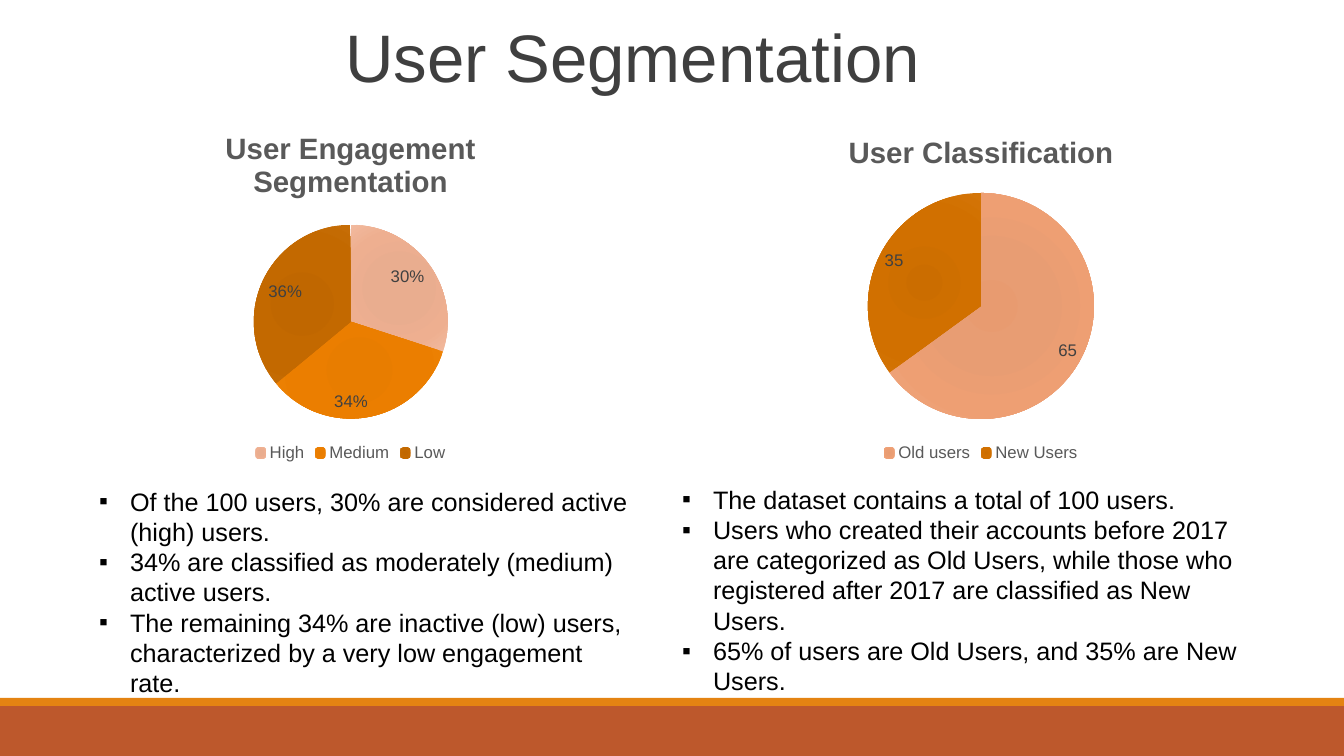
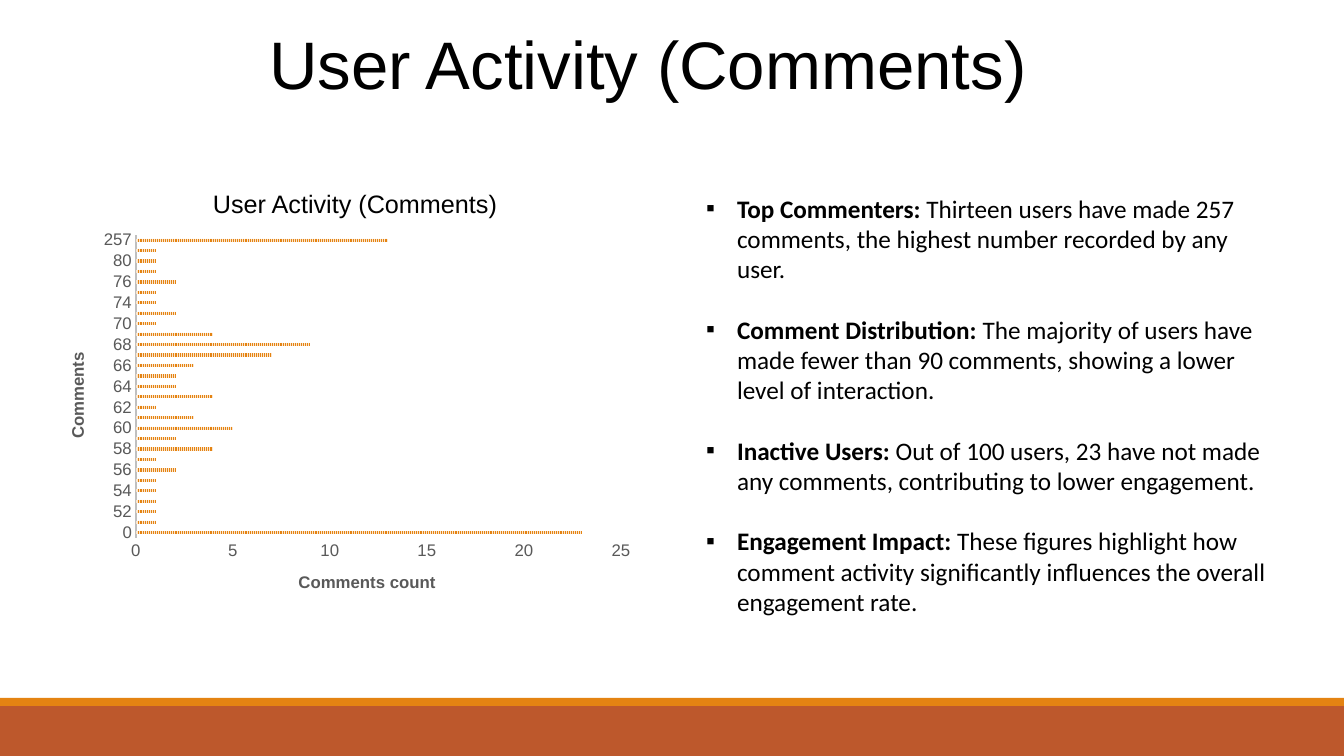
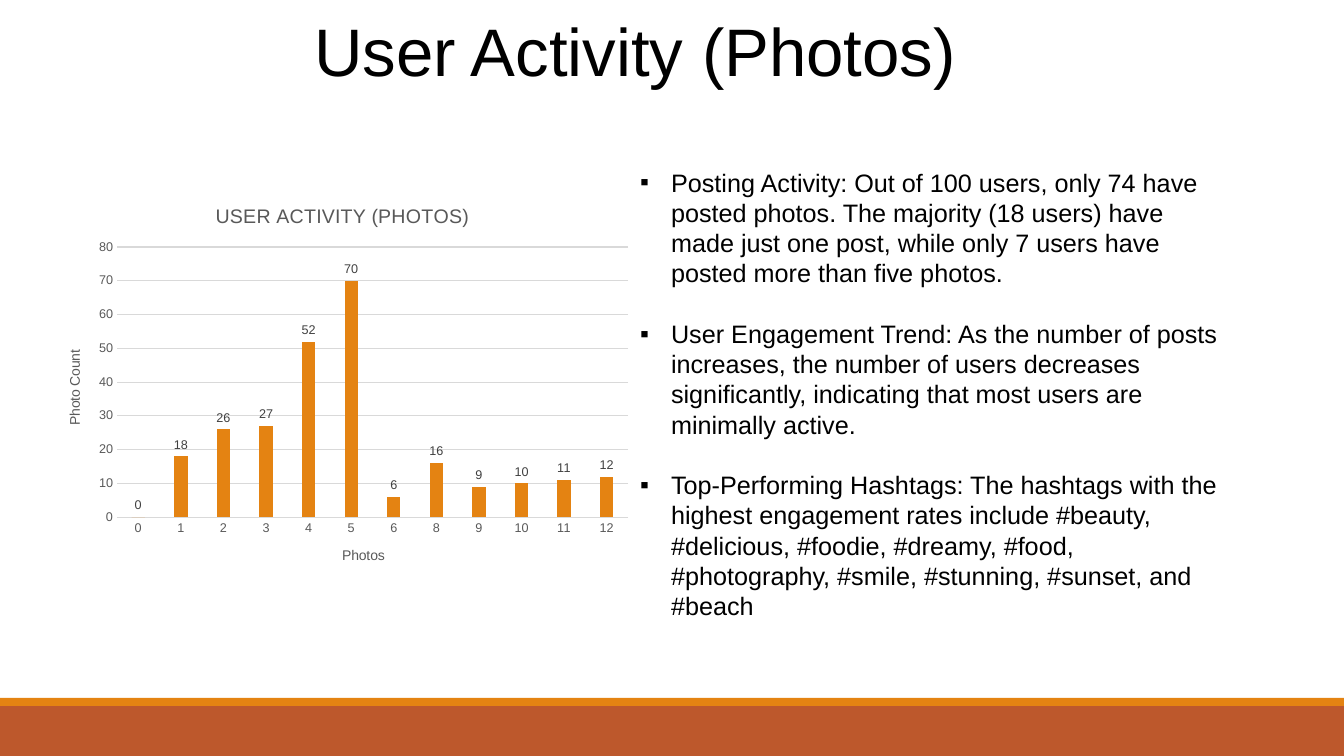
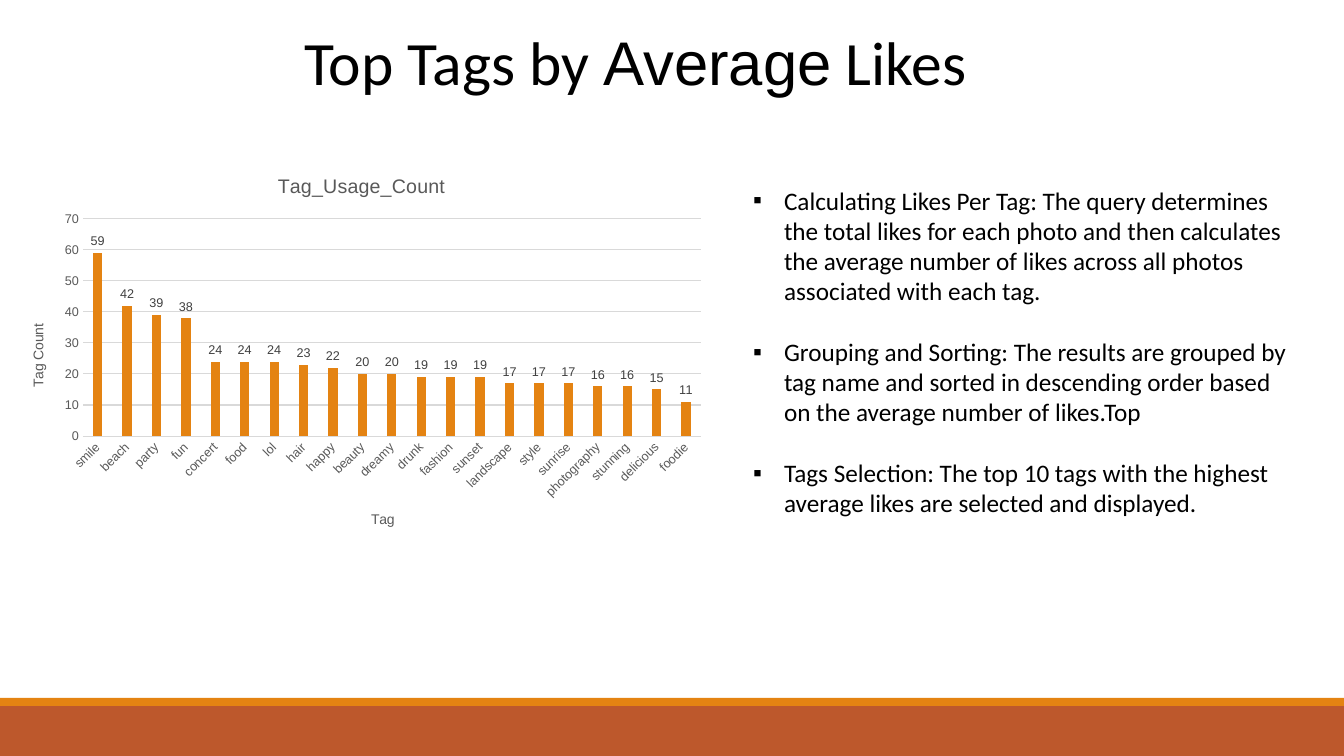
from pptx import Presentation
from pptx.chart.data import CategoryChartData
from pptx.dml.color import RGBColor
from pptx.enum.chart import XL_CHART_TYPE, XL_LABEL_POSITION, XL_LEGEND_POSITION, XL_TICK_MARK
from pptx.enum.dml import MSO_PATTERN_TYPE
from pptx.enum.shapes import MSO_SHAPE
from pptx.enum.text import MSO_ANCHOR, MSO_AUTO_SIZE, PP_ALIGN
from pptx.oxml import parse_xml
from pptx.oxml.ns import nsdecls, qn
from pptx.util import Emu, Pt

PIE, BAR, COLUMN = XL_CHART_TYPE.PIE, XL_CHART_TYPE.BAR_CLUSTERED, XL_CHART_TYPE.COLUMN_CLUSTERED
INSIDE_END, OUTSIDE_END, BEST_FIT = (
    XL_LABEL_POSITION.INSIDE_END, XL_LABEL_POSITION.OUTSIDE_END, XL_LABEL_POSITION.BEST_FIT)
BOTTOM_LEGEND = XL_LEGEND_POSITION.BOTTOM
NO_TICK = XL_TICK_MARK.NONE
NARROW_STRIPES = MSO_PATTERN_TYPE.NARROW_VERTICAL
RECTANGLE = MSO_SHAPE.RECTANGLE
LEFT, BOTTOM, NO_AUTOFIT = PP_ALIGN.LEFT, MSO_ANCHOR.BOTTOM, MSO_AUTO_SIZE.NONE

BLACK = RGBColor(0x00, 0x00, 0x00)
CHARCOAL = RGBColor(0x3F, 0x3F, 0x3F)
LABEL_GREY = RGBColor(0x40, 0x40, 0x40)
GREY = RGBColor(0x59, 0x59, 0x59)
AXIS_GREY = RGBColor(0xBF, 0xBF, 0xBF)
GRID_GREY = RGBColor(0xD9, 0xD9, 0xD9)
BRICK = RGBColor(0xBD, 0x58, 0x2C)
AMBER = RGBColor(0xE4, 0x83, 0x12)
CREAM = RGBColor(0xFB, 0xE6, 0xCE)

# Slice colours, from the centre of each gradient outwards
GRADIENT_STOPS = (0, 34, 70, 100)
BLUSH = [RGBColor.from_string(c) for c in ("E8AB8C", "E9AD8F", "EEAF90", "F2BA9E")]
ORANGE = [RGBColor.from_string(c) for c in ("E57B00", "E87D00", "EB7E00", "EF8407")]
BROWN = [RGBColor.from_string(c) for c in ("BE6600", "C06700", "C36900", "C66D06")]
SALMON = [RGBColor.from_string(c) for c in ("E89B70", "E89D73", "EE9F73", "F0A982")]
COPPER = [RGBColor.from_string(c) for c in ("CB6D00", "CE6F00", "D17000", "D47507")]

ARIAL, CALIBRI = "Arial", "Calibri"
EMU_PER_PX = 914400 / 100.8
SLIDE_SIZE = (1344, 756)
BANDS = [((0, 706, 1344, 50), BRICK), ((0, 698, 1344, 8), AMBER)]
BODY_SIZE, BODY_LINE, BULLET_INDENT = 18, 21.6, 31

# Boxes and plot areas are (left, top, width, height) in px
SLIDES = [
    {
        "title": {"box": (335, 0, 675, 98), "size": 48, "color": CHARCOAL,
                  "runs": [("User Segmentation", ARIAL)]},
        "charts": [
            {"kind": PIE, "box": (66, 116, 569, 350), "plot": (254, 225, 194, 194),
             "title": "User Engagement\nSegmentation",
             "categories": ["High", "Medium", "Low"], "values": [30, 34, 36],
             "slices": [BLUSH, ORANGE, BROWN], "percent": True, "labels": INSIDE_END},
            {"kind": PIE, "box": (672, 116, 618, 350), "plot": (868, 193, 226, 226),
             "title": "User Classification",
             "categories": ["Old users", "New Users"], "values": [65, 35],
             "slices": [SALMON, COPPER], "percent": False, "labels": BEST_FIT},
        ],
        "bodies": [
            {"box": (89, 481, 557, 224), "font": ARIAL, "gap": 0, "items": [
                "Of the 100 users, 30% are considered active (high) users.",
                "34% are classified as moderately (medium) active users.",
                "The remaining 34% are inactive (low) users, characterized by a very low "
                "engagement rate."]},
            {"box": (672, 479, 576, 224), "font": ARIAL, "gap": 0, "items": [
                "The dataset contains a total of 100 users.",
                "Users who created their accounts before 2017 are categorized as Old Users, "
                "while those who registered after 2017 are classified as New Users.",
                "65% of users are Old Users, and 35% are New Users."]},
        ],
    },
    {
        "title": {"box": (259, 13, 779, 92), "size": 48, "color": BLACK,
                  "runs": [("User Activity (Comments)", ARIAL)]},
        "charts": [
            {"kind": BAR, "box": (60, 183, 588, 433), "plot": (136, 235, 485, 303),
             "category_title": "Comments", "value_title": "Comments count",
             "categories": "0 49 52 53 54 55 56 57 58 59 60 61 62 63 64 65 66 67 68 69 "
                           "70 72 74 75 76 77 80 83 257".split(),
             "values": [23, 1, 1, 1, 1, 1, 2, 1, 4, 2, 5, 3, 1, 4, 2, 2, 3, 7, 9, 4,
                        1, 2, 1, 1, 2, 1, 1, 1, 13],
             "maximum": 25, "unit": 5},
        ],
        "caption": {"box": (203, 183, 312, 40), "text": "User Activity (Comments)"},
        "bodies": [
            {"box": (696, 188, 588, 439), "font": CALIBRI, "gap": BODY_LINE,
             "bold_lead": True, "items": [
                 "Top Commenters: Thirteen users have made 257 comments, the highest number "
                 "recorded by any user.",
                 "Comment Distribution: The majority of users have made fewer than 90 "
                 "comments, showing a lower level of interaction.",
                 "Inactive Users: Out of 100 users, 23 have not made any comments, "
                 "contributing to lower engagement.",
                 "Engagement Impact: These figures highlight how comment activity "
                 "significantly influences the overall engagement rate."]},
        ],
    },
    {
        "title": {"box": (304, 0, 672, 92), "size": 48, "color": BLACK,
                  "runs": [("User Activity (Photos)", ARIAL)]},
        "charts": [
            {"kind": COLUMN, "box": (45, 186, 595, 399), "plot": (117, 247, 511, 270),
             "title": "USER ACTIVITY (PHOTOS)",
             "category_title": "Photos", "value_title": "Photo Count",
             "categories": "0 1 2 3 4 5 6 8 9 10 11 12".split(),
             "values": [0, 18, 26, 27, 52, 70, 6, 16, 9, 10, 11, 12],
             "maximum": 80, "unit": 10, "labels": OUTSIDE_END},
        ],
        "bodies": [
            {"box": (630, 162, 611, 468), "font": ARIAL, "gap": BODY_LINE, "items": [
                "Posting Activity: Out of 100 users, only 74 have posted photos. The majority "
                "(18 users) have made just one post, while only 7 users have posted more than "
                "five photos.",
                "User Engagement Trend: As the number of posts increases, the number of users "
                "decreases significantly, indicating that most users are minimally active.",
                "Top-Performing Hashtags: The hashtags with the highest engagement rates "
                "include #beauty, #delicious, #foodie, #dreamy, #food, #photography, #smile, "
                "#stunning, #sunset, and #beach"]},
        ],
    },
    {
        "title": {"box": (294, 15, 755, 85), "size": 44, "color": BLACK,
                  "runs": [("Top Tags by ", CALIBRI), ("Average", ARIAL), (" Likes", CALIBRI)]},
        "charts": [
            {"kind": COLUMN, "box": (8, 157, 707, 392), "plot": (83, 219, 618, 217),
             "title": "Tag_Usage_Count",
             "category_title": "Tag", "value_title": "Tag Count",
             "categories": "smile beach party fun concert food lol hair happy beauty dreamy "
                           "drunk fashion sunset landscape style sunrise photography stunning "
                           "delicious foodie".split(),
             "values": [59, 42, 39, 38, 24, 24, 24, 23, 22, 20, 20, 19, 19, 19, 17, 17, 17,
                        16, 16, 15, 11],
             "maximum": 70, "unit": 10, "labels": OUTSIDE_END, "slanted": True},
        ],
        "bodies": [
            {"box": (743, 180, 570, 346), "font": CALIBRI, "gap": BODY_LINE, "items": [
                "Calculating Likes Per Tag: The query determines the total likes for each "
                "photo and then calculates the average number of likes across all photos "
                "associated with each tag.",
                "Grouping and Sorting: The results are grouped by tag name and sorted in "
                "descending order based on the average number of likes.Top",
                "Tags Selection: The top 10 tags with the highest average likes are selected "
                "and displayed."]},
        ],
    },
]


def px(length):
    return Emu(round(length * EMU_PER_PX))


def place(shape, box):
    shape.left, shape.top, shape.width, shape.height = map(px, box)


def style_font(font, size, color, name=ARIAL, bold=False):
    font.size, font.name, font.bold = Pt(size), name, bold
    font.color.rgb = color


def add_run(para, text, *style, **options):
    span = para.add_run()
    span.text = text
    style_font(span.font, *style, **options)


def add_master_bands(deck, slide):
    """Draw the bottom bands, then move them behind everything on the master."""
    tree = deck.slide_master.shapes.element
    for number, (box, color) in enumerate(BANDS):
        band = slide.shapes.add_shape(RECTANGLE, *map(px, box))
        band.shadow.inherit = False
        band.fill.solid()
        band.fill.fore_color.rgb = color
        band.line.fill.background()
        band.element.nvSpPr.cNvPr.set("id", str(101 + number))
        tree.insert(2 + number, band.element)


def fill_title(shape, title):
    place(shape, title["box"])
    frame = shape.text_frame
    frame.word_wrap = True
    frame.auto_size = NO_AUTOFIT
    frame.vertical_anchor = BOTTOM
    frame.margin_bottom = px(2)
    para = frame.paragraphs[0]
    para.alignment = LEFT
    for text, font in title["runs"]:
        add_run(para, text, title["size"], title["color"], font)


def set_bullet(para):
    properties = para._p.get_or_add_pPr()
    properties.set("marL", str(px(BULLET_INDENT)))
    properties.set("indent", str(-px(BULLET_INDENT)))
    for xml in (f'<a:buClr {nsdecls("a")}><a:srgbClr val="{BLACK}"/></a:buClr>',
                f'<a:buFont {nsdecls("a")} typeface="{ARIAL}"/>',
                f'<a:buChar {nsdecls("a")} char="▪"/>'):
        properties.append(parse_xml(xml))


def fill_body(shape, body):
    place(shape, body["box"])
    frame = shape.text_frame
    frame.word_wrap = True
    frame.auto_size = NO_AUTOFIT
    for number, text in enumerate(body["items"]):
        para = frame.add_paragraph() if number else frame.paragraphs[0]
        para.alignment = LEFT
        para.line_spacing = Pt(BODY_LINE)
        para.space_before = Pt(body["gap"] if number else 0)
        para.space_after = Pt(0)
        set_bullet(para)
        if body.get("bold_lead"):
            lead, colon, text = text.partition(":")
            add_run(para, lead + colon, BODY_SIZE, BLACK, body["font"], bold=True)
        add_run(para, text, BODY_SIZE, BLACK, body["font"])


def add_caption(slide, caption):
    box = slide.shapes.add_textbox(*map(px, caption["box"]))
    box.text_frame.word_wrap = True
    para = box.text_frame.paragraphs[0]
    para.line_spacing = Pt(BODY_LINE)
    add_run(para, caption["text"], BODY_SIZE, BLACK)


def write_chart_text(frame, text, size, bold):
    frame.text = text
    for para in frame.paragraphs:
        for span in para.runs:
            style_font(span.font, size, GREY, bold=bold)


def set_plot_area(chart, box, plot):
    """Fix the inner plot rectangle as fractions of the chart frame."""
    left, top, width, height = box
    fractions = {"x": (plot[0] - left) / width, "y": (plot[1] - top) / height,
                 "w": plot[2] / width, "h": plot[3] / height}
    sizes = "".join(f'<c:{key} val="{value:.3f}"/>' for key, value in fractions.items())
    area = chart.element.chart.plotArea
    for layout in area.findall(qn("c:layout")):
        area.remove(layout)
    area.insert(0, parse_xml(
        f'<c:layout {nsdecls("c")}><c:manualLayout><c:layoutTarget val="inner"/>'
        f'<c:xMode val="edge"/><c:yMode val="edge"/>{sizes}</c:manualLayout></c:layout>'))


def fill_slice(point, colors):
    point.format.line.fill.background()
    stops = "".join(f'<a:gs pos="{stop * 1000}"><a:srgbClr val="{color}"/></a:gs>'
                    for stop, color in zip(GRADIENT_STOPS, colors))
    point.format.element.get_or_add_spPr().insert(0, parse_xml(
        f'<a:gradFill {nsdecls("a")} rotWithShape="1"><a:gsLst>{stops}</a:gsLst>'
        '<a:path path="circle"><a:fillToRect l="100000" t="100000" r="100000" b="100000"/>'
        '</a:path></a:gradFill>'))


def format_pie(chart, content):
    plot = chart.plots[0]
    plot.vary_by_categories = True
    for number, colors in enumerate(content["slices"]):
        fill_slice(plot.series[0].points[number], colors)
    chart.has_legend = True
    chart.legend.position = BOTTOM_LEGEND
    chart.legend.include_in_layout = False
    style_font(chart.legend.font, 12, GREY)


def format_axis(axis, title, tick_size, title_size, bold, vertical):
    axis.major_tick_mark = axis.minor_tick_mark = NO_TICK
    style_font(axis.tick_labels.font, tick_size, GREY)
    axis.has_title = True
    write_chart_text(axis.axis_title.text_frame, title, title_size, bold)
    text_box = axis.axis_title.format.element.find(".//" + qn("a:bodyPr"))
    text_box.set("rot", "-5400000" if vertical else "0")


def draw_line(line, color, width):
    line.color.rgb = color
    line.width = Pt(width)


def format_bars(chart, content):
    striped = content["kind"] == BAR
    plot = chart.plots[0]
    plot.vary_by_categories = False
    plot.gap_width, plot.overlap = (227, -48) if striped else (219, -27)
    fill = plot.series[0].format.fill
    if striped:
        fill.patterned()
        fill.pattern = NARROW_STRIPES
        fill.back_color.rgb = CREAM
    else:
        fill.solid()
    fill.fore_color.rgb = AMBER

    sizes = (12, 12, True) if striped else (9, 10, False)
    categories, values = chart.category_axis, chart.value_axis
    format_axis(categories, content["category_title"], *sizes, vertical=striped)
    format_axis(values, content["value_title"], *sizes, vertical=not striped)
    draw_line(categories.format.line, *((AXIS_GREY, 1.5) if striped else (GRID_GREY, 0.75)))
    if content.get("slanted"):
        categories.format.element.txPr.bodyPr.set("rot", "-2700000")
    values.format.line.fill.background()
    values.minimum_scale, values.maximum_scale = 0, content["maximum"]
    values.major_unit = content["unit"]
    values.has_major_gridlines = not striped
    if not striped:
        draw_line(values.major_gridlines.format.line, GRID_GREY, 0.75)


def add_chart(slide, content):
    data = CategoryChartData()
    data.categories = content["categories"]
    data.add_series("Series 1", content["values"])
    chart = slide.shapes.add_chart(content["kind"], *map(px, content["box"]), data).chart
    pie = content["kind"] == PIE
    style_font(chart.font, 10, BLACK)
    chart.has_legend = False
    chart.has_title = "title" in content
    if chart.has_title:
        write_chart_text(chart.chart_title.text_frame, content["title"], 21 if pie else 14, pie)
    if pie:
        format_pie(chart, content)
    else:
        format_bars(chart, content)
    if "labels" in content:
        chart.plots[0].has_data_labels = True
        labels = chart.plots[0].data_labels
        percent = content.get("percent", False)
        labels.show_percentage, labels.show_value = percent, not percent
        labels.number_format = "0%" if percent else "General"
        labels.number_format_is_linked = False
        labels.position = content["labels"]
        style_font(labels.font, 12 if pie else 9, LABEL_GREY)
    set_plot_area(chart, content["box"], content["plot"])


def main():
    deck = Presentation()
    deck.slide_width, deck.slide_height = map(px, SLIDE_SIZE)
    one_body, two_bodies = deck.slide_layouts[1], deck.slide_layouts[3]
    for content in SLIDES:
        bodies = content["bodies"]
        slide = deck.slides.add_slide(two_bodies if len(bodies) == 2 else one_body)
        if len(deck.slides) == 1:
            add_master_bands(deck, slide)
        fill_title(slide.shapes.title, content["title"])
        for number, body in enumerate(bodies, 1):
            fill_body(slide.placeholders[number], body)
        for chart in content["charts"]:
            add_chart(slide, chart)
        if "caption" in content:
            add_caption(slide, content["caption"])
    deck.save("out.pptx")


if __name__ == "__main__":
    main()
